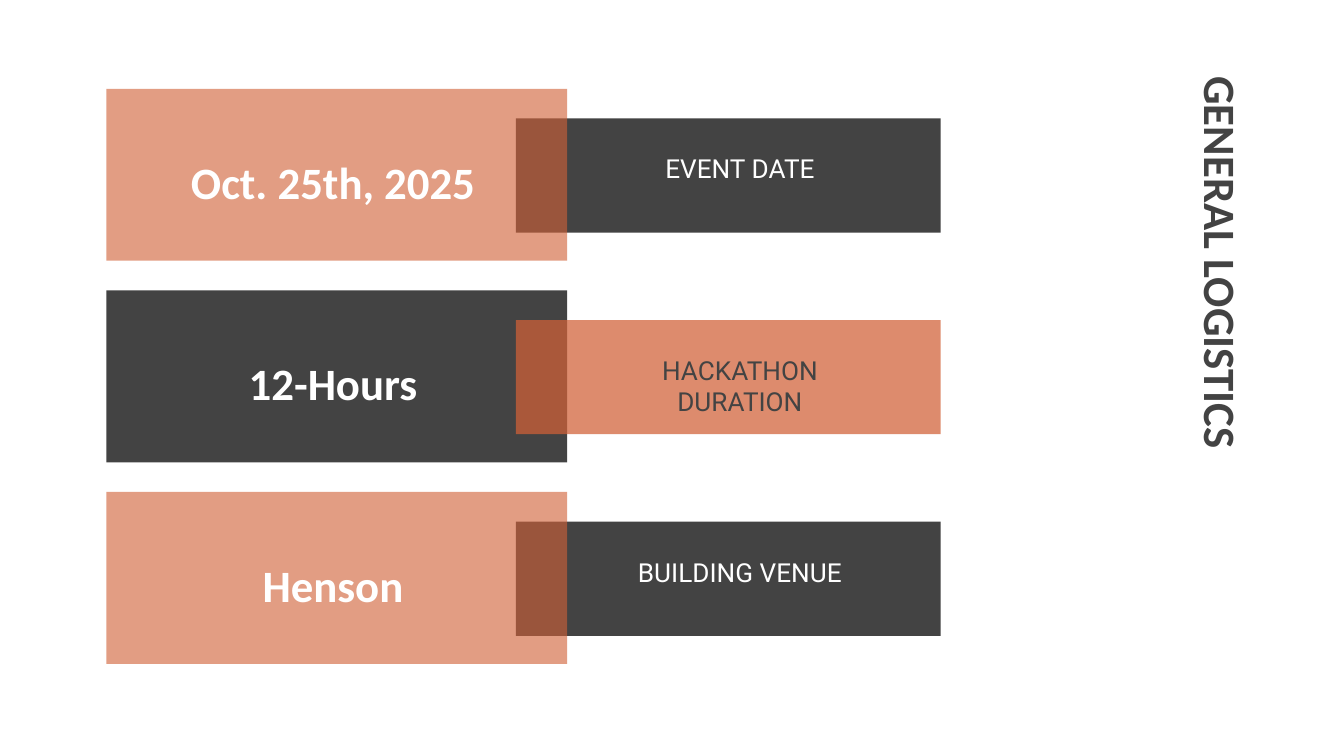
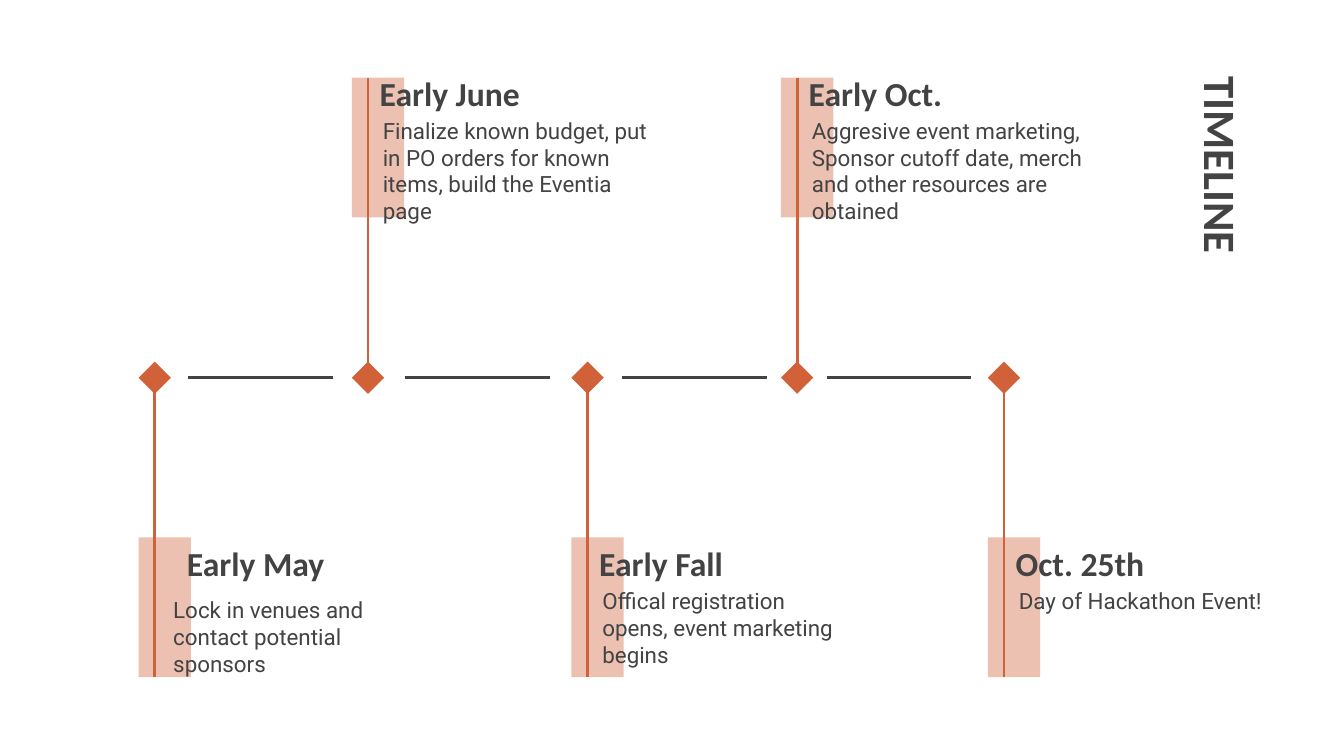
from dataclasses import dataclass

from lxml.etree import SubElement
from pptx import Presentation
from pptx.dml.color import RGBColor as RGB
from pptx.enum.shapes import MSO_CONNECTOR as Line, MSO_SHAPE as Preset
from pptx.enum.text import MSO_ANCHOR as Anchor, MSO_AUTO_SIZE as AutoSize, PP_ALIGN as Align
from pptx.oxml.ns import qn
from pptx.util import Cm, Pt


@dataclass(frozen=True)
class Theme:
    ink: str = "434343"
    rust: str = "D16138"
    blush: str = "DF957A"
    white: str = "FFFFFF"
    head_font: str = "Calibri"
    body_font: str = "Roboto"
    title: int = 24
    label: int = 14
    date: int = 18
    body: int = 12
    rule: float = 1.5
    inset: float = 0.25


T = Theme()

LOGISTICS_TITLE = "GENERAL LOGISTICS"
LOGISTICS = [
    ("Oct. 25th, 2025", "EVENT DATE"),
    ("12-Hours", "HACKATHON DURATION"),
    ("Henson", "BUILDING VENUE"),
]

TIMELINE_TITLE = "TIMELINE"
MILESTONES = [
    {"left": 2.62, "date_shift": 0.36, "task_shift": 0.1, "task_drop": 1.01,
     "date": "Early May", "task": "Lock in venues and contact potential sponsors"},
    {"left": 6.65, "date": "Early June",
     "task": "Finalize known budget, put in PO orders for known items, build the Eventia page"},
    {"left": 10.8, "date": "Early Fall",
     "task": "Offical registration opens, event marketing begins"},
    {"left": 14.76, "date": "Early Oct.",
     "task": "Aggresive event marketing, Sponsor cutoff date, merch and other resources are obtained"},
    {"left": 18.67, "date": "Oct. 25th", "task": "Day of Hackathon Event!"},
]
AXIS_STARTS = [3.56, 7.65, 11.76, 15.62]

TITLE_STYLE = {"size": Pt(T.title), "name": T.head_font, "bold": True}
LABEL_STYLE = {"size": Pt(T.label), "name": T.body_font, "bold": False}
DATE_STYLE = {"size": Pt(T.date), "name": T.head_font, "bold": True}
TASK_STYLE = {"size": Pt(T.body), "name": T.body_font, "bold": False}


def write(box, text, style, color=T.ink, align=Align.LEFT):
    frame = box.text_frame
    inset = Cm(T.inset)
    layout = {"word_wrap": True, "auto_size": AutoSize.NONE, "vertical_anchor": Anchor.TOP,
              "margin_left": inset, "margin_right": inset,
              "margin_top": inset, "margin_bottom": inset}
    for key, value in layout.items():
        setattr(frame, key, value)
    paragraph = frame.paragraphs[0]
    paragraph.alignment = align
    run = paragraph.add_run()
    run.text = text
    for key, value in style.items():
        setattr(run.font, key, value)
    run.font.color.rgb = RGB.from_string(color)


def add_text(slide, place, *content):
    write(slide.shapes.add_textbox(*map(Cm, place)), *content)


def add_block(slide, place, color, opacity=100, preset=Preset.RECTANGLE):
    block = slide.shapes.add_shape(preset, *map(Cm, place))
    block.shadow.inherit = False
    block.fill.solid()
    block.fill.fore_color.rgb = RGB.from_string(color)
    block.line.fill.background()
    if opacity < 100:
        tint = block.fill._xPr.find(qn("a:solidFill"))[0]
        SubElement(tint, qn("a:alpha"), val=str(opacity * 1000))


def add_rule(slide, ends, color):
    rule = slide.shapes.add_connector(Line.STRAIGHT, *map(Cm, ends))
    rule.line.color.rgb = RGB.from_string(color)
    rule.line.width = Pt(T.rule)
    SubElement(rule._element.spPr, qn("a:effectLst"))


def add_titled_slide(deck, text):
    slide = deck.slides.add_slide(deck.slide_layouts[5])
    title = slide.shapes.title
    place = {"left": 18.34, "top": 5.36, "width": 9.68, "height": 1.35}
    for key, value in place.items():
        setattr(title, key, Cm(value))
    title.rotation = 90
    write(title, text, TITLE_STYLE)
    return slide


def build_logistics(deck):
    slide = add_titled_slide(deck, LOGISTICS_TITLE)
    first_top, pitch = 1.68, 3.81
    for row, (value, label) in enumerate(LOGISTICS):
        top = first_top + row * pitch
        value_card = (2.01, top, 8.71, 3.25)
        label_card = (9.75, top + 0.56, 8.03, 2.16)
        if row % 2:
            add_block(slide, value_card, T.ink)
            add_block(slide, label_card, T.rust, 73)
            label_color = T.ink
        else:
            add_block(slide, label_card, T.ink)
            add_block(slide, value_card, T.rust, 62)
            label_color = T.white
        add_text(slide, (2.36, top + 0.99, 7.87, 1.35), value, TITLE_STYLE, T.white, Align.CENTER)
        add_text(slide, (11.1, top + 0.96, 5.77, 1.35), label, LABEL_STYLE, label_color, Align.CENTER)


def build_timeline(deck):
    slide = add_titled_slide(deck, TIMELINE_TITLE)
    axis, diamond, band_width, band_height, axis_length = 7.14, 0.61, 0.99, 2.64, 2.74
    for start in AXIS_STARTS:
        add_rule(slide, (start, axis, start + axis_length, axis), T.ink)
    for index, step in enumerate(MILESTONES):
        above = index % 2 == 1
        left = step["left"]
        center = left + diamond / 2
        band_top, date_top, task_width = (1.47, 1.12, 5.74) if above else (10.16, 10.01, 5.13)
        stem_end = band_top if above else band_top + band_height
        task_top = date_top + step.get("task_drop", 0.84)
        add_block(slide, (left, band_top, band_width, band_height), T.blush, 58)
        add_rule(slide, (center, axis, center, stem_end), T.rust)
        add_block(slide, (left, axis - diamond / 2, diamond, diamond), T.rust, preset=Preset.DIAMOND)
        add_text(slide, (center + step.get("date_shift", -0.03), date_top, 4.1, 1.2),
                 step["date"], DATE_STYLE)
        add_text(slide, (center + step.get("task_shift", 0.03), task_top, task_width, 1.83),
                 step["task"], TASK_STYLE)


def main():
    deck = Presentation()
    deck.slide_width, deck.slide_height = Cm(25.4), Cm(14.29)
    build_logistics(deck)
    build_timeline(deck)
    deck.save("out.pptx")


if __name__ == "__main__":
    main()
